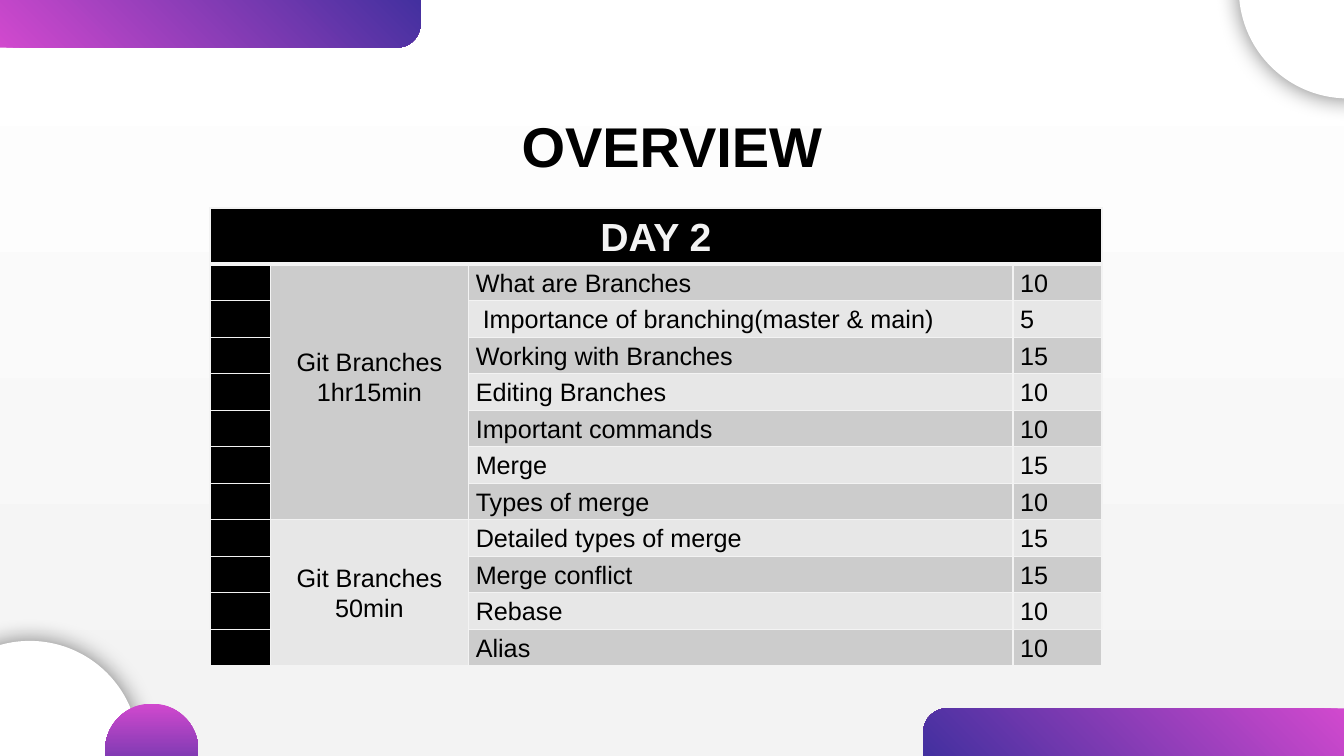
import lxml.etree
import pptx
import pptx.dml.color
import pptx.enum.shapes
import pptx.enum.text
import pptx.oxml
import pptx.oxml.ns
import pptx.util

Cm = pptx.util.Cm
Pt = pptx.util.Pt
SHAPE = pptx.enum.shapes.MSO_SHAPE
CENTER = pptx.enum.text.PP_ALIGN.CENTER
LEFT = pptx.enum.text.PP_ALIGN.LEFT
MIDDLE = pptx.enum.text.MSO_ANCHOR.MIDDLE

PINK, PURPLE = "D149CE", "43309F"
BLACK, WHITE, PALE = "000000", "FFFFFF", "F3F3F3"
BANDS = ["CCCCCC", "E7E7E7"]
COLUMNS = [1.52, 5, 13.72, 2.24]
HEADER_HEIGHT, ROW_HEIGHT = 1.42, 0.92
TITLE_FONT = {"name": "Arial", "size": Pt(40), "bold": True}
HEADER_FONT = {"name": "Arial", "size": Pt(28), "bold": True}
BODY_FONT = {"name": "Arial", "size": Pt(18), "bold": False}
CELL_FORMAT = {"margin_left": Cm(0.18), "margin_right": Cm(0.18),
               "margin_top": 0, "margin_bottom": 0, "vertical_anchor": MIDDLE}

SECTIONS = [
    (["Git Branches", "1hr15min"], 0.78, [
        ("What are Branches", 10),
        (" Importance of branching(master & main)", 5),
        ("Working with Branches", 15),
        ("Editing Branches", 10),
        ("Important commands", 10),
        ("Merge", 15),
        ("Types of merge", 10)]),
    (["Git Branches", "50min"], 0, [
        ("Detailed types of merge", 15),
        ("Merge conflict", 15),
        ("Rebase", 10),
        ("Alias", 10)]),
]


def rgb(color):
    """Turn a hex string into a colour."""
    return pptx.dml.color.RGBColor.from_string(color)


def set_format(obj, values):
    """Set every attribute named in a dict."""
    for name, value in values.items():
        setattr(obj, name, value)


def fill_solid(fill, color):
    """Give a fill one colour."""
    fill.solid()
    fill.fore_color.rgb = rgb(color)


def fill_gradient(fill, start, end, angle):
    """Give a fill two colours along a counter-clockwise angle."""
    fill.gradient()
    fill.gradient_angle = angle
    for stop, color in zip(fill.gradient_stops, (start, end)):
        stop.color.rgb = rgb(color)


def write(tf, lines, font, color=BLACK, align=CENTER, spacing=1.07):
    """Write lines as formatted paragraphs."""
    for i, line in enumerate(lines):
        p = tf.add_paragraph() if i else tf.paragraphs[0]
        set_format(p, {"alignment": align, "line_spacing": spacing})
        r = p.add_run()
        r.text = line
        set_format(r.font, font)
        r.font.color.rgb = rgb(color)


def add_plain(slide, kind, left, top, width, height):
    """Add a shape without outline or shadow."""
    sp = slide.shapes.add_shape(kind, Cm(left), Cm(top), Cm(width), Cm(height))
    sp.shadow.inherit = False
    sp.line.fill.background()
    return sp


def add_bar(slide, left, top, rotation):
    """Add a gradient bar with one round corner."""
    sp = add_plain(slide, SHAPE.ROUND_1_RECTANGLE, left, top, 10.6, 1.2)
    sp.adjustments[0] = 0.5
    sp.rotation = rotation
    sp._element.spPr.xfrm.set("flipH", "1")
    fill_gradient(sp.fill, PINK, PURPLE, 315)


def add_disc(slide, left, top):
    """Add a white disc with a soft shadow."""
    sp = add_plain(slide, SHAPE.OVAL, left, top, 5.5, 5.5)
    fill_solid(sp.fill, WHITE)
    effects = sp._element.spPr.find(pptx.oxml.ns.qn("a:effectLst"))
    effects.append(pptx.oxml.parse_xml(
        f'<a:outerShdw {pptx.oxml.ns.nsdecls("a")} blurRad="{Pt(16.9)}" dist="0" dir="0" '
        f'algn="ctr" rotWithShape="0"><a:srgbClr val="{BLACK}"><a:alpha val="50000"/>'
        '</a:srgbClr></a:outerShdw>'))


def set_borders(cell, top, bottom):
    """Draw the four cell borders with widths in points."""
    tc_pr = cell._tc.get_or_add_tcPr()
    qn = pptx.oxml.ns.qn
    for side, width in (("L", 1), ("R", 1), ("T", top), ("B", bottom)):
        ln = lxml.etree.SubElement(tc_pr, qn(f"a:ln{side}"), w=str(Pt(width)))
        solid = lxml.etree.SubElement(ln, qn("a:solidFill"))
        lxml.etree.SubElement(solid, qn("a:srgbClr"), val=PALE)


def add_agenda(slide):
    """Add the table of sections, topics and minutes."""
    topics = [topic for section in SECTIONS for topic in section[2]]
    height = HEADER_HEIGHT + ROW_HEIGHT * len(topics)
    table = slide.shapes.add_table(len(topics) + 1, len(COLUMNS), Cm(5.29), Cm(5.24),
                                   Cm(sum(COLUMNS)), Cm(height)).table
    for column, width in zip(table.columns, COLUMNS):
        column.width = Cm(width)
    for i, row in enumerate(table.rows):
        row.height = Cm(ROW_HEIGHT if i else HEADER_HEIGHT)
        for j, cell in enumerate(row.cells):
            set_format(cell, CELL_FORMAT)
            set_borders(cell, 3 if i == 1 else 1, 1 if i else 3)
            fill_solid(cell.fill, BANDS[(i - 1) % 2] if i and j else BLACK)
    header = table.cell(0, 0)
    header.merge(table.cell(0, len(COLUMNS) - 1))
    write(header.text_frame, ["DAY 2"], HEADER_FONT, PALE)
    first = 1
    for lines, bottom, rows in SECTIONS:
        section = table.cell(first, 1)
        section.merge(table.cell(first + len(rows) - 1, 1))
        section.margin_bottom = Cm(bottom)
        write(section.text_frame, lines, BODY_FONT)
        first += len(rows)
    for i, topic in enumerate(topics, 1):
        for j, value in enumerate(topic, 2):
            write(table.cell(i, j).text_frame, [str(value)], BODY_FONT, align=LEFT)


def add_title(slide, text):
    """Place and write the slide title."""
    sp = slide.shapes.title
    set_format(sp, {"left": Cm(10.11), "top": Cm(2.67), "width": Cm(13.64), "height": Cm(1.96)})
    set_format(sp.text_frame, {"auto_size": pptx.enum.text.MSO_AUTO_SIZE.NONE,
                               "word_wrap": True, "vertical_anchor": MIDDLE})
    write(sp.text_frame, [text], TITLE_FONT, spacing=1.0)


def main():
    """Build and save the slide."""
    prs = pptx.Presentation()
    set_format(prs, {"slide_width": Cm(33.87), "slide_height": Cm(19.05)})
    slide = prs.slides.add_slide(prs.slide_layouts[5])
    fill_gradient(slide.background.fill, WHITE, PALE, 270)
    add_bar(slide, 0, 0, 180)
    add_bar(slide, 23.27, 17.85, 0)
    add_disc(slide, -2, 16.15)
    add_disc(slide, 31.22, -3.02)
    ball = add_plain(slide, SHAPE.OVAL, 2.65, 17.73, 2.35, 2.35)
    fill_gradient(ball.fill, PINK, PURPLE, 270)
    add_title(slide, "OVERVIEW")
    add_agenda(slide)
    prs.save("out.pptx")


if __name__ == "__main__":
    main()
